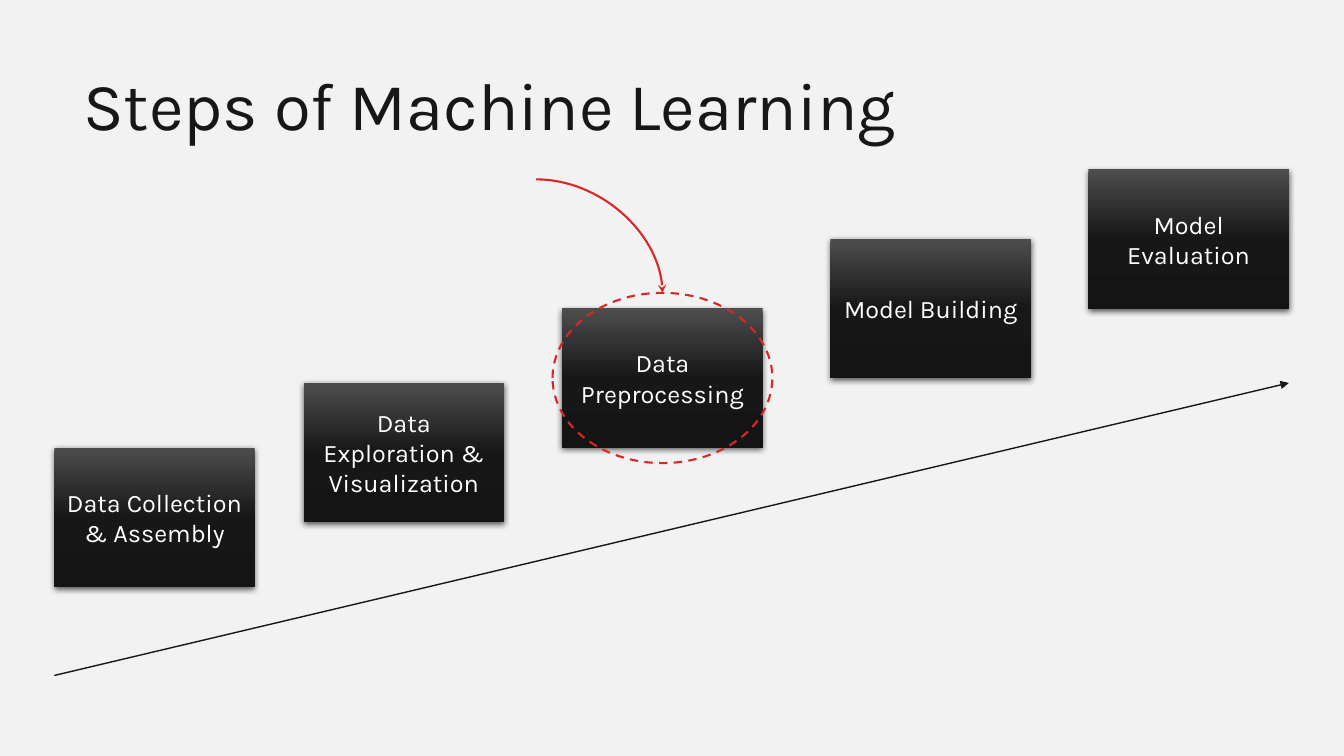
from dataclasses import dataclass

from lxml import etree
from pptx import Presentation
from pptx import util as u
from pptx.dml.color import RGBColor
from pptx.enum import dml, shapes, text
from pptx.oxml import ns


@dataclass(frozen=True)
class Theme:
    font: str = "Karla"
    background: str = "F2F2F2"
    ink: str = "181717"
    label: str = "FFFFFF"
    accent: str = "D62828"
    shadow: str = "000000"
    gradient: tuple = ((0, "4D4D4D"), (50, "181717"), (100, "151414"))
    title_size: int = 48
    label_size: int = 18


@dataclass(frozen=True)
class Step:
    lines: tuple
    left: float
    top: float


THEME = Theme()
BOX_W, BOX_H = 5.05, 3.51
RING_W, RING_H = 5.54, 4.29

STEPS = (
    Step(("Data Collection", "& Assembly"), 1.37, 11.28),
    Step(("Data Exploration & Visualization",), 7.65, 9.65),
    Step(("Data Preprocessing",), 14.17, 7.77),
    Step(("Model Building",), 20.93, 6.02),
    Step(("Model Evaluation",), 27.43, 4.27),
)
FIRST, FOCUS, LAST = STEPS[0], STEPS[2], STEPS[-1]


def rgb(value: str) -> RGBColor:
    return RGBColor.from_string(value)


def add(parent, tag: str, **attrs):
    """Append a DrawingML element and return it."""
    return etree.SubElement(parent, ns.qn(tag), {k: str(v) for k, v in attrs.items()})


def write(tf, *lines: str, size: int, color: str,
          align=text.PP_ALIGN.LEFT, anchor=text.MSO_ANCHOR.TOP) -> None:
    tf.word_wrap = True
    tf.vertical_anchor = anchor
    for i, line in enumerate(lines):
        p = tf.add_paragraph() if i else tf.paragraphs[0]
        p.alignment = align
        r = p.add_run()
        r.text = line
        r.font.name = THEME.font
        r.font.size = u.Pt(size)
        r.font.color.rgb = rgb(color)


def style_box(sp) -> None:
    """Give a box its vertical gradient and soft shadow."""
    sp.line.fill.background()
    sp.fill.gradient()
    sp.fill.gradient_angle = 270
    props = sp._element.spPr
    stops = props.find(".//" + ns.qn("a:gsLst"))
    for stop in list(stops):
        stops.remove(stop)
    for pos, color in THEME.gradient:
        add(add(stops, "a:gs", pos=pos * 1000), "a:srgbClr", val=color)

    sp.shadow.inherit = False
    shadow = add(props.find(ns.qn("a:effectLst")), "a:outerShdw",
                 blurRad=u.Pt(4.5), dist=u.Pt(1.5), dir=90 * 60000, rotWithShape=0)
    add(add(shadow, "a:srgbClr", val=THEME.shadow), "a:alpha", val=63000)


def add_step(s, step: Step) -> None:
    sp = s.shapes.add_shape(shapes.MSO_SHAPE.RECTANGLE, u.Cm(step.left), u.Cm(step.top),
                            u.Cm(BOX_W), u.Cm(BOX_H))
    style_box(sp)
    write(sp.text_frame, *step.lines, size=THEME.label_size, color=THEME.label,
          align=text.PP_ALIGN.CENTER, anchor=text.MSO_ANCHOR.MIDDLE)


def add_arrow(s, kind, start: tuple, end: tuple, *, color: str, width: float, head: str):
    c = s.shapes.add_connector(kind, *(u.Cm(v) for v in start + end))
    c.line.color.rgb = rgb(color)
    c.line.width = u.Pt(width)
    add(c.line._get_or_add_ln(), "a:tailEnd", type=head)
    add(c._element.spPr, "a:effectLst")
    return c


prs = Presentation()
prs.slide_width, prs.slide_height = u.Cm(33.87), u.Cm(19.05)
s = prs.slides.add_slide(prs.slide_layouts[6])
s.background.fill.solid()
s.background.fill.fore_color.rgb = rgb(THEME.background)

# Title
tb = s.shapes.add_textbox(u.Cm(1.85), u.Cm(1.47), u.Cm(22.81), u.Cm(2.31))
write(tb.text_frame, "Steps of Machine Learning", size=THEME.title_size, color=THEME.ink)

# Rising steps
for step in STEPS:
    add_step(s, step)

# Progress arrow
add_arrow(s, shapes.MSO_CONNECTOR.STRAIGHT, (FIRST.left, 17.02), (LAST.left + BOX_W, 9.65),
          color=THEME.ink, width=1, head="triangle")

# Dashed ring centred on the focus step
mid_x, mid_y = FOCUS.left + BOX_W / 2, FOCUS.top + BOX_H / 2
ring_top = mid_y - RING_H / 2
ring = s.shapes.add_shape(shapes.MSO_SHAPE.OVAL, u.Cm(mid_x - RING_W / 2), u.Cm(ring_top),
                          u.Cm(RING_W), u.Cm(RING_H))
ring.shadow.inherit = False
ring.fill.background()
ring.line.color.rgb = rgb(THEME.accent)
ring.line.width = u.Pt(1.5)
ring.line.dash_style = dml.MSO_LINE.DASH

# Curved pointer to the ring
pointer = add_arrow(s, shapes.MSO_CONNECTOR.CURVE, (13.51, 4.52), (mid_x, ring_top),
                    color=THEME.accent, width=1.5, head="stealth")
pointer._element.spPr.find(ns.qn("a:prstGeom")).set("prst", "curvedConnector2")

prs.save("out.pptx")
